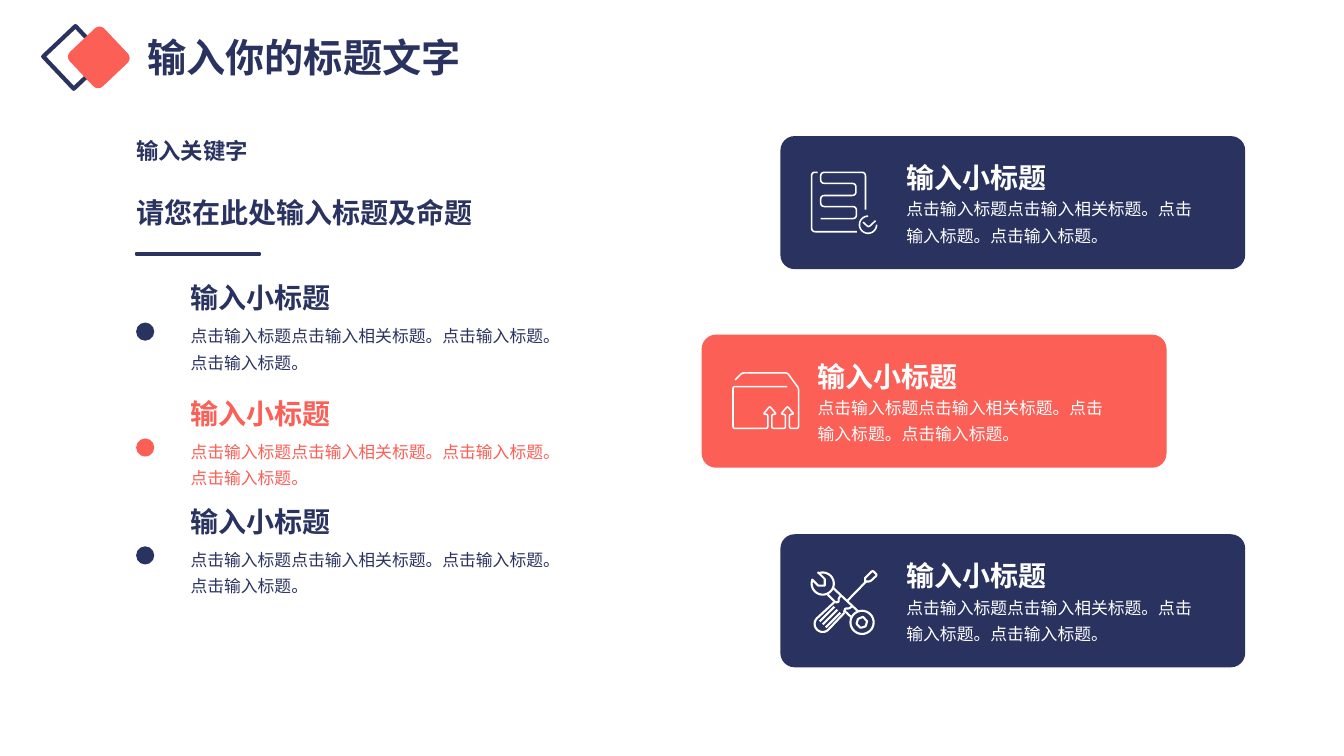
from dataclasses import dataclass
from math import cos, dist, radians, sin

from lxml import etree
from pptx import Presentation
from pptx.dml.color import RGBColor
from pptx.enum.shapes import MSO_SHAPE
from pptx.enum.text import MSO_ANCHOR, PP_ALIGN
from pptx.oxml.ns import qn
from pptx.util import Inches, Pt

RECTANGLE, ROUNDED, OVAL = MSO_SHAPE.RECTANGLE, MSO_SHAPE.ROUNDED_RECTANGLE, MSO_SHAPE.OVAL
MIDDLE, LEFT, CENTER = MSO_ANCHOR.MIDDLE, PP_ALIGN.LEFT, PP_ALIGN.CENTER


@dataclass(frozen=True)
class Theme:
    font: str = "Noto Sans CJK SC"
    navy: RGBColor = RGBColor(0x2A, 0x33, 0x60)
    coral: RGBColor = RGBColor(0xFB, 0x5F, 0x56)
    white: RGBColor = RGBColor(0xFF, 0xFF, 0xFF)
    title: int = 28
    heading: int = 20
    keyword: int = 16
    body: int = 12


THEME = Theme()
SUBTITLE = "输入小标题"
BODY = "点击输入标题点击输入相关标题。点击输入标题。点击输入标题。"
ICON_UNITS = 100  # icon units to the inch


def arc(x, y, radius, start, end, steps=32):
    angles = [radians(start + (end - start) * i / steps) for i in range(steps + 1)]
    return [(x + radius * cos(a), y + radius * sin(a)) for a in angles]


# Each stroke: corner radius, whether it closes, points in icon units.
DOCUMENT_ICON = [
    (4, False, [(7, 1), (1, 1), (1, 60), (46, 60)]),
    (4, False, [(54.5, 38), (54.5, 1), (10, 1), (10, 12), (45, 12), (45, 24), (10, 24),
                (10, 35), (45.5, 35), (45.5, 47), (10, 47)]),
    (0, False, arc(57, 53, 8.5, 0, 270)),
    (2, False, [(52, 50.5), (57.5, 55.5), (64.5, 49)]),
]
PACKAGE_ICON = [
    (2, False, [(3, 8), (10, 1), (55, 1), (66, 16), (66, 56), (57, 56), (57, 42),
                (61.5, 42), (55, 34), (48.5, 42), (53, 42), (53, 56), (39.5, 56),
                (39.5, 42), (44, 42), (37.5, 34), (31, 42), (35.5, 42), (35.5, 56),
                (1, 56), (1, 14.5), (55, 14.5)]),
]
TOOLS_ICON = [
    (0, True, [(7.5, 3), (14, 9.5), (14, 16), (7.5, 16)] + arc(12, 14, 11, 201, -112)),
    (0, False, [(22.5, 18.5), (47, 41.5)]),
    (0, False, [(17, 25), (24.5, 32.5)]),
    (0, False, [(33, 40.5), (41, 48)]),
    (2, False, [(30, 26), (27.5, 29), (28, 32.5), (24.5, 32.5)]),
    (2, False, [(41, 36.5), (38, 39), (34, 38.5), (33.5, 42.5)]),
    (0, False, [(24, 32)] + arc(12, 54, 8, 225, 45) + [(33.5, 43)]),
    *[(0, False, [(23.5 + step, 37 + step), (9 + step, 51.5 + step)]) for step in (0, 3, 6)],
    (0, False, [(36.5, 31), (55, 12)]),
    (2, True, [(54, 8.5), (61.5, 1), (66, 5.5), (59, 12), (54, 12)]),
    (0, True, arc(51, 52.5, 11.5, 0, 360)),
    (1, True, [(52, 47), (47, 49), (45.5, 54), (49.5, 58), (54.5, 56.5), (56, 51.5)]),
]

CARDS = [  # left, top, fill, text offset, icon, icon offset, icon weight
    (7.74, 1.35, THEME.navy, 1.25, DOCUMENT_ICON, (0.3, 0.35), 1.1),
    (6.96, 3.32, THEME.coral, 1.15, PACKAGE_ICON, (0.3, 0.37), 1.1),
    (7.74, 5.3, THEME.navy, 1.25, TOOLS_ICON, (0.3, 0.35), 1.5),
]
POINTS = [(2.78, THEME.navy), (3.93, THEME.coral), (5.0, THEME.navy)]


def inches(*lengths):
    return [Inches(length) for length in lengths]


def write(box, text, size, color, bold=False, spacing=1.0, align=LEFT):
    frame = box.text_frame
    frame.word_wrap = True
    frame.vertical_anchor = MIDDLE
    frame.margin_left = frame.margin_right = frame.margin_top = frame.margin_bottom = 0
    para = frame.paragraphs[0]
    para.alignment, para.line_spacing = align, spacing
    span = para.add_run()
    span.text = text
    font = span.font
    font.name, font.size, font.bold = THEME.font, Pt(size), bold
    font.color.rgb = color
    east_asian = etree.SubElement(span._r.get_or_add_rPr(), qn("a:ea"))
    east_asian.set("typeface", THEME.font)


def add_text(page, box, *args, **options):
    write(page.shapes.add_textbox(*inches(*box)), *args, **options)


def paint(shape, fill=None, line=None, weight=1):
    shape.shadow.inherit = False
    if fill is None:
        shape.fill.background()
    else:
        shape.fill.solid()
        shape.fill.fore_color.rgb = fill
    if line is None:
        shape.line.fill.background()
    else:
        shape.line.color.rgb = line
        shape.line.width = Pt(weight)


def add_shape(page, kind, box, **style):
    shape = page.shapes.add_shape(kind, *inches(*box))
    paint(shape, **style)
    return shape


def round_corners(points, radius, steps=4):
    """Replace every inner corner of a polyline by a short quadratic curve."""
    if not radius:
        return points
    path = [points[0]]
    for before, corner, after in zip(points, points[1:], points[2:]):
        ends = []
        for other in (before, after):
            length = dist(corner, other)
            share = min(radius, length / 2) / length
            ends.append([c + (o - c) * share for c, o in zip(corner, other)])
        for t in (i / steps for i in range(steps + 1)):
            path.append(tuple((1 - t) ** 2 * a + 2 * t * (1 - t) * c + t * t * b
                              for a, c, b in zip(ends[0], corner, ends[1])))
    return path + [points[-1]]


def draw_icon(page, strokes, left, top, weight):
    unit = Inches(1) / ICON_UNITS
    builder = None
    for radius, closed, points in strokes:
        path = [(x * unit, y * unit) for x, y in round_corners(points, radius)]
        if builder is None:
            builder = page.shapes.build_freeform(*path[0])
        else:
            builder.move_to(*path[0])
        builder.add_line_segments(path[1:], close=closed)
    paint(builder.convert_to_shape(*inches(left, top)), line=THEME.white, weight=weight)


def draw_header(page):
    hollow = add_shape(page, RECTANGLE, (0.52, 0.35, 0.44, 0.44), line=THEME.navy, weight=3)
    solid = add_shape(page, RECTANGLE, (0.81, 0.4, 0.34, 0.34),
                      fill=THEME.coral, line=THEME.coral, weight=9.5)
    hollow.rotation = solid.rotation = 46.6
    title = page.shapes.title
    title.left, title.top, title.width, title.height = inches(0.74, 0.28, 4.55, 0.57)
    write(title, "输入你的标题文字", THEME.title, THEME.navy, bold=True, align=CENTER)


def draw_intro(page, left, top):
    add_text(page, (left, top, 1.15, 0.36), "输入关键字",
             THEME.keyword, THEME.navy, bold=True, spacing=1.5)
    add_text(page, (left, top + 0.55, 3.45, 0.45), "请您在此处输入标题及命题",
             THEME.heading, THEME.navy, bold=True, spacing=1.5)
    add_shape(page, RECTANGLE, (left, top + 1.26, 1.23, 0.02), fill=THEME.navy, line=THEME.navy)


def draw_point(page, left, top, color):
    add_shape(page, OVAL, (left, top + 0.42, 0.18, 0.18), fill=color)
    add_text(page, (left + 0.54, top, 1.44, 0.34), SUBTITLE, THEME.heading, color, bold=True)
    add_text(page, (left + 0.54, top + 0.4, 3.78, 0.51), BODY, THEME.body, color, spacing=1.3)


def draw_card(page, left, top, fill, text_offset, icon, icon_offset, weight):
    card = add_shape(page, ROUNDED, (left, top, 4.61, 1.32), fill=fill)
    card.adjustments[0] = 0.107
    draw_icon(page, icon, left + icon_offset[0], top + icon_offset[1], weight)
    text_left = left + text_offset
    add_text(page, (text_left, top + 0.1, 1.95, 0.45), SUBTITLE,
             THEME.heading, THEME.white, bold=True, spacing=1.5)
    add_text(page, (text_left, top + 0.57, 2.85, 0.51), BODY,
             THEME.body, THEME.white, spacing=1.3)


def main():
    deck = Presentation()
    deck.slide_width, deck.slide_height = inches(13.33, 7.5)
    page = deck.slides.add_slide(deck.slide_layouts[5])
    draw_header(page)
    draw_intro(page, 1.35, 1.25)
    for top, color in POINTS:
        draw_point(page, 1.35, top, color)
    for card in CARDS:
        draw_card(page, *card)
    deck.save("out.pptx")


if __name__ == "__main__":
    main()
